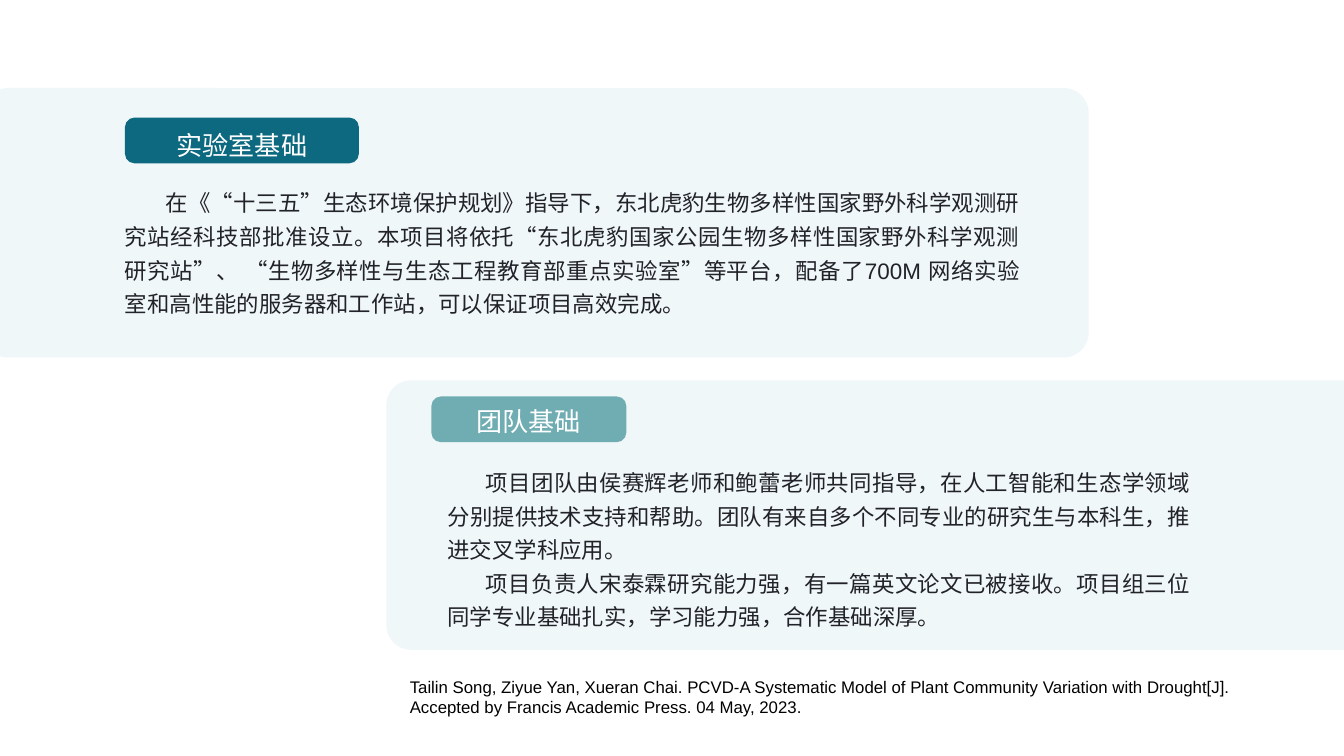
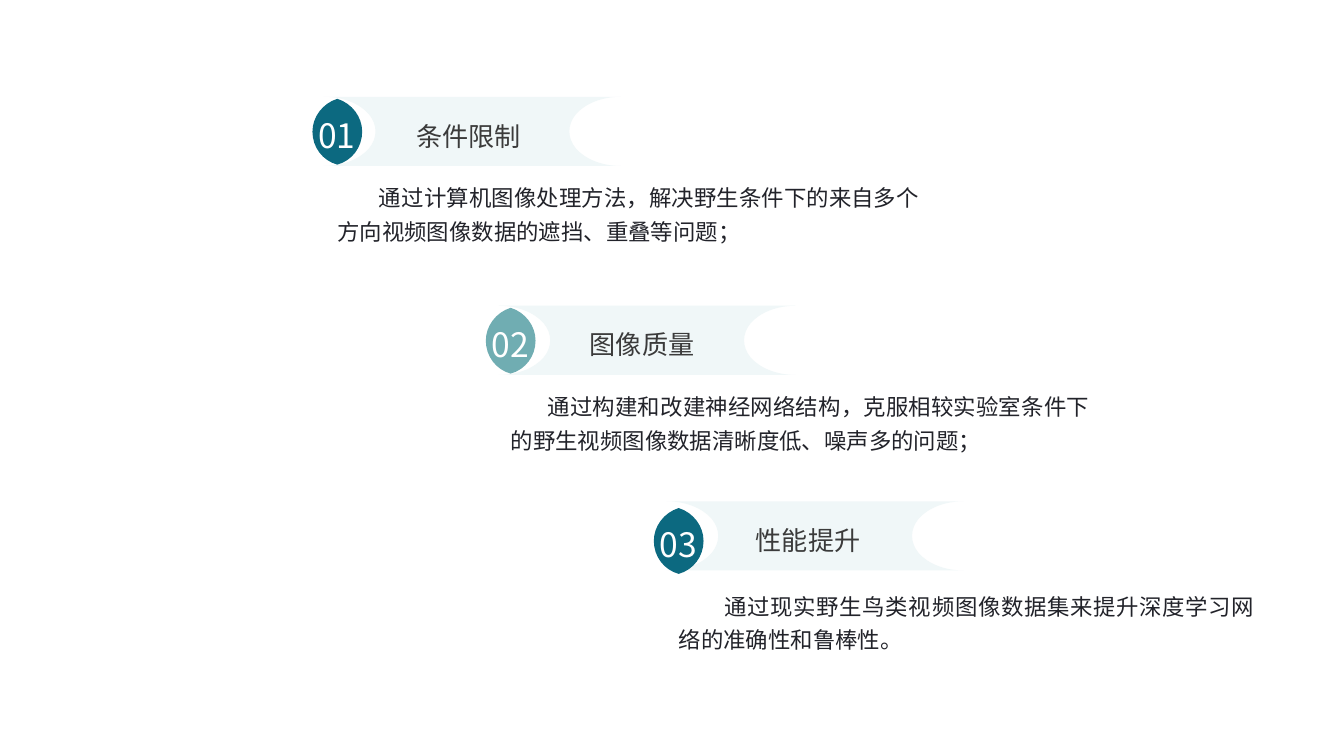
from lxml.etree import SubElement
from pptx import Presentation
from pptx.dml.color import RGBColor
from pptx.enum.shapes import MSO_SHAPE
from pptx.enum.text import MSO_AUTO_SIZE, PP_ALIGN
from pptx.oxml.ns import qn
from pptx.util import Inches, Pt

WIDTH, HEIGHT = Inches(20), Inches(11.25)
COL, ROW = WIDTH / 20, HEIGHT / 11.25

PALE = RGBColor(0xF0, 0xF7, 0xF8)
TEAL = RGBColor(0x0C, 0x69, 0x80)
SAGE = RGBColor(0x70, 0xAD, 0xB2)
INK = RGBColor(0x22, 0x23, 0x2A)
GREY = RGBColor(0x3B, 0x3B, 0x3B)
WHITE = RGBColor(0xFF, 0xFF, 0xFF)
BLACK = RGBColor(0, 0, 0)

LATIN, HAN = "Arial", "Noto Sans CJK SC"
BODY = dict(size=24, color=INK, align=PP_ALIGN.JUSTIFY, line=36)
LABEL = dict(size=28, align=PP_ALIGN.CENTER, line=39.2)
NUMBER = dict(size=36, color=WHITE, align=PP_ALIGN.CENTER, line=50.4, font=HAN)

NOTCH = [(0, 0), (0.28, 0), (0.53, 0.1), (0.67, 0.26), (0.8, 0.42),
         (0.8, 0.61), (0.67, 0.77), (0.53, 0.93), (0.28, 1.03), (0, 1.03)]
LEAF = [(0, 0), (0.22, 0.07), (0.37, 0.27), (0.37, 0.49),
        (0.37, 0.72), (0.22, 0.92), (0, 0.98)]


def place(x, y, w, h):
    """Turn columns and rows into slide lengths."""
    return round(x * COL), round(y * ROW), round(w * COL), round(h * ROW)


def paint(shape, color):
    """Give a shape a flat fill with no line or shadow."""
    shape.shadow.inherit = False
    shape.fill.solid()
    shape.fill.fore_color.rgb = color
    shape.line.fill.background()


def write(slide, box, *texts, size, color, align=PP_ALIGN.LEFT, line=None,
          font=LATIN, indent=0, inset=(0, 0)):
    """Add a text box with one paragraph for each text."""
    frame = slide.shapes.add_textbox(*place(*box)).text_frame
    frame.word_wrap = True
    frame.auto_size = MSO_AUTO_SIZE.SHAPE_TO_FIT_TEXT
    frame.margin_left = frame.margin_right = Inches(inset[0])
    frame.margin_top = frame.margin_bottom = Inches(inset[1])
    for i, text in enumerate(texts):
        para = frame.add_paragraph() if i else frame.paragraphs[0]
        para.alignment = align
        if line:
            para.line_spacing = Pt(line)
        if indent:
            para._p.get_or_add_pPr().set("indent", str(Inches(indent)))
        run = para.add_run()
        run.text = text
        run.font.size = Pt(size)
        run.font.name = font
        run.font.color.rgb = color
        SubElement(run._r.get_or_add_rPr(), qn("a:ea"), typeface=HAN)


def round_box(slide, box, radius, color):
    """Add a rectangle with the given corner radius."""
    shape = slide.shapes.add_shape(MSO_SHAPE.ROUNDED_RECTANGLE, *place(*box))
    shape.adjustments[0] = radius / min(box[2:])
    paint(shape, color)


def shift(curve, x, y, side):
    """Move a curve to x and y, swelling to the given side."""
    return [((x + side * dx) * COL, (y + dy) * ROW) for dx, dy in curve]


def outline(slide, down, back, color):
    """Add a closed outline of one curve down and another back up."""
    up = back[::-1]
    gap = int(up[0] != down[-1])
    points = down[1:] + up[1 - gap:]
    pen = slide.shapes.build_freeform(*down[0])
    pen.add_line_segments(points, close=True)
    shape = pen.convert_to_shape()
    track = shape._element.find(".//" + qn("a:path"))
    lines = track.findall(qn("a:lnTo"))
    turn = len(down) - 1
    for start in [*range(0, turn, 3), *range(turn + gap, len(points), 3)]:
        bend, *others = lines[start:start + 3]
        bend.tag = qn("a:cubicBezTo")
        for other in others:
            bend.append(other[0])
            track.remove(other)
    paint(shape, color)


def panel(slide, box, tag, color, title, body, texts, indent):
    """Draw a pale panel with a title tag and body text."""
    x, y = box[:2]
    left, top, wide, drop = tag
    round_box(slide, box, 0.37, PALE)
    round_box(slide, (x + left, y + top, wide, 0.68), 0.14, color)
    pad = wide / 12
    write(slide, (x + left + pad, y + top + drop, wide - 2 * pad, 0.5),
          title, color=WHITE, **LABEL)
    write(slide, (x + body[0], y + body[1], *body[2:]), *texts,
          indent=indent, **BODY)


def step(slide, x, y, color, number, title, text, band, label, body, indent):
    """Draw a numbered leaf, its notched banner and the text below."""
    left, top = x + band[0], y + band[1]
    mid = x + 0.37
    outline(slide, shift(NOTCH, left + 4.42, top, -1),
            shift(NOTCH, left, top, 1), PALE)
    outline(slide, shift(LEAF, mid, y, 1), shift(LEAF, mid, y, -1), color)
    write(slide, (x - 0.12, y + 0.14, 0.97, 0.65), number, **NUMBER)
    write(slide, (x + label[0], y + label[1], 2.89, 0.5), title,
          color=GREY, **LABEL)
    write(slide, (mid, y + body[0], body[1], 0.96), text,
          indent=indent, **BODY)


def basis(slide):
    """Fill the slide on the laboratory and the team."""
    panel(slide, (-0.25, 1.31, 16.45, 4.01), (2.11, 0.44, 3.48, 0.1), TEAL,
          "实验室基础", (2.11, 1.41, 13.31, 1.97),
          ["在《“十三五”生态环境保护规划》指导下，东北虎豹生物多样性国家野外科学观测研究站经科技部批准设立。"
           "本项目将依托“东北虎豹国家公园生物多样性国家野外科学观测研究站”、 "
           "“生物多样性与生态工程教育部重点实验室”等平台，配备了700M 网络实验室和高性能的服务器和工作站，"
           "可以保证项目高效完成。"], 0.61)
    panel(slide, (5.75, 5.66, 14.61, 4.01), (0.67, 0.24, 2.9, 0.05), SAGE,
          "团队基础", (0.91, 1.22, 11.05, 2.98),
          ["项目团队由侯赛辉老师和鲍蕾老师共同指导，在人工智能和生态学领域分别提供技术支持和帮助。"
           "团队有来自多个不同专业的研究生与本科生，推进交叉学科应用。",
           "项目负责人宋泰霖研究能力强，有一篇英文论文已被接收。"
           "项目组三位同学专业基础扎实，学习能力强，合作基础深厚。"], 0.57)
    write(slide, (6, 10.02, 13.73, 0.71),
          "Tailin Song, Ziyue Yan, Xueran Chai. PCVD-A Systematic Model of "
          "Plant Community Variation with Drought[J].",
          "Accepted by Francis Academic Press. 04 May, 2023.",
          size=18, color=BLACK, inset=(0.1, 0.05))


def goals(slide):
    """Fill the slide with three numbered steps."""
    step(slide, 4.65, 1.47, TEAL, "01", "条件限制",
         "通过计算机图像处理方法，解决野生条件下的来自多个方向视频图像数据的遮挡、重叠等问题；",
         (0.17, -0.03), (0.88, 0.24), (1.17, 8.66), 0.62)
    step(slide, 7.23, 4.58, SAGE, "02", "图像质量",
         "通过构建和改建神经网络结构，克服相较实验室条件下的野生视频图像数据清晰度低、噪声多的问题；",
         (0.19, -0.03), (0.88, 0.23), (1.17, 8.61), 0.55)
    step(slide, 9.73, 7.56, TEAL, "03", "性能提升",
         "通过现实野生鸟类视频图像数据集来提升深度学习网络的准确性和鲁棒性。",
         (0.19, -0.1), (0.85, 0.16), (1.16, 8.57), 0.68)


def main():
    """Build and save the slides."""
    deck = Presentation()
    deck.slide_width, deck.slide_height = WIDTH, HEIGHT
    for fill in (basis, goals):
        fill(deck.slides.add_slide(deck.slide_layouts[6]))
    deck.save("out.pptx")


if __name__ == "__main__":
    main()
